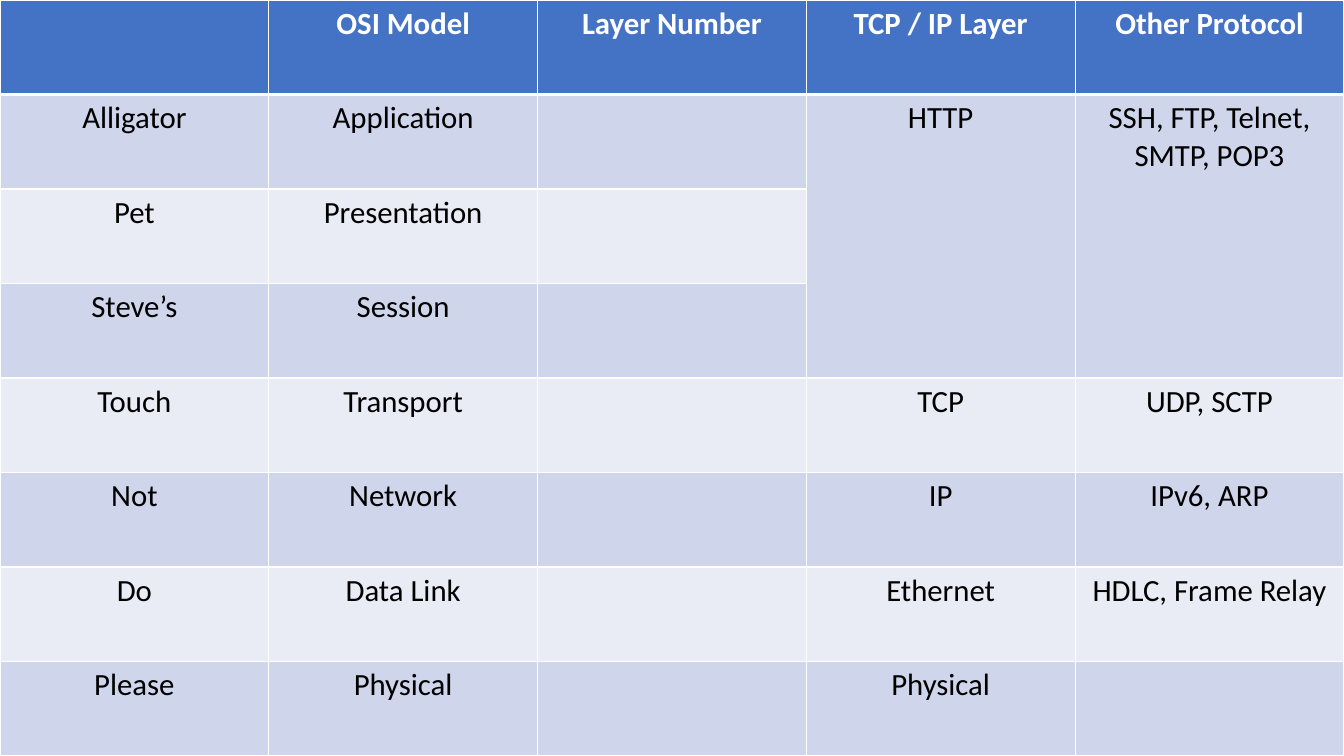
from lxml import etree
from pptx import Presentation
from pptx.dml.color import RGBColor
from pptx.enum.text import PP_ALIGN
from pptx.oxml.ns import qn
from pptx.util import Inches, Pt

CENTER = PP_ALIGN.CENTER
WIDTH, HEIGHT = Inches(13.33), Inches(7.5)
WHITE, BLACK, BLUE = "FFFFFF", "000000", "4472C4"
BANDS = ["CFD5EA", "E9EBF5"]
THIN, THICK = Pt(1), Pt(3)

ROWS = [
    ["", "OSI Model", "Layer Number", "TCP / IP Layer", "Other Protocol"],
    ["Alligator", "Application", "", "HTTP", "SSH, FTP, Telnet, SMTP, POP3"],
    ["Pet", "Presentation", "", "", ""],
    ["Steve’s", "Session", "", "", ""],
    ["Touch", "Transport", "", "TCP", "UDP, SCTP"],
    ["Not", "Network", "", "IP", "IPv6, ARP"],
    ["Do", "Data Link", "", "Ethernet", "HDLC, Frame Relay"],
    ["Please", "Physical", "", "Physical", ""],
]
MERGES = [(1, 3, 3, 3), (1, 4, 3, 4)]


def color(code):
    return RGBColor.from_string(code)


class Deck:
    font = "Calibri"
    size = Pt(22)

    def __init__(self, slide):
        self.slide = slide

    def border(self, cell, widths):
        props = cell._tc.get_or_add_tcPr()
        for side, width in widths.items():
            line = etree.SubElement(props, qn(f"a:ln{side}"), w=str(width))
            fill = etree.SubElement(line, qn("a:solidFill"))
            etree.SubElement(fill, qn("a:srgbClr"), val=WHITE)

    def cell(self, cell, text, fill, ink, bold, widths):
        self.border(cell, widths)
        cell.fill.solid()
        cell.fill.fore_color.rgb = color(fill)
        cell.text_frame.text = text
        for para in cell.text_frame.paragraphs:
            para.alignment = CENTER
            para.font.size = self.size
            for run in para.runs:
                run.font.name = self.font
                run.font.size = self.size
                run.font.bold = bold
                run.font.color.rgb = color(ink)

    def table(self, rows, merges):
        count, span = len(rows), len(rows[0])
        grid = self.slide.shapes.add_table(count, span, 0, 0, WIDTH, HEIGHT).table
        for row in grid.rows:
            row.height = HEIGHT // count
        for col in grid.columns:
            col.width = WIDTH // span
        for r, row in enumerate(rows):
            head = r == 0
            fill = BLUE if head else BANDS[(r - 1) % 2]
            ink = WHITE if head else BLACK
            widths = {"L": THIN, "R": THIN,
                      "T": THICK if r == 1 else THIN,
                      "B": THICK if head else THIN}
            for c, text in enumerate(row):
                self.cell(grid.cell(r, c), text, fill, ink, head, widths)
        for top, left, bottom, right in merges:
            grid.cell(top, left).merge(grid.cell(bottom, right))


prs = Presentation()
prs.slide_width, prs.slide_height = WIDTH, HEIGHT
deck = Deck(prs.slides.add_slide(prs.slide_layouts[6]))
deck.table(ROWS, MERGES)
prs.save("out.pptx")
